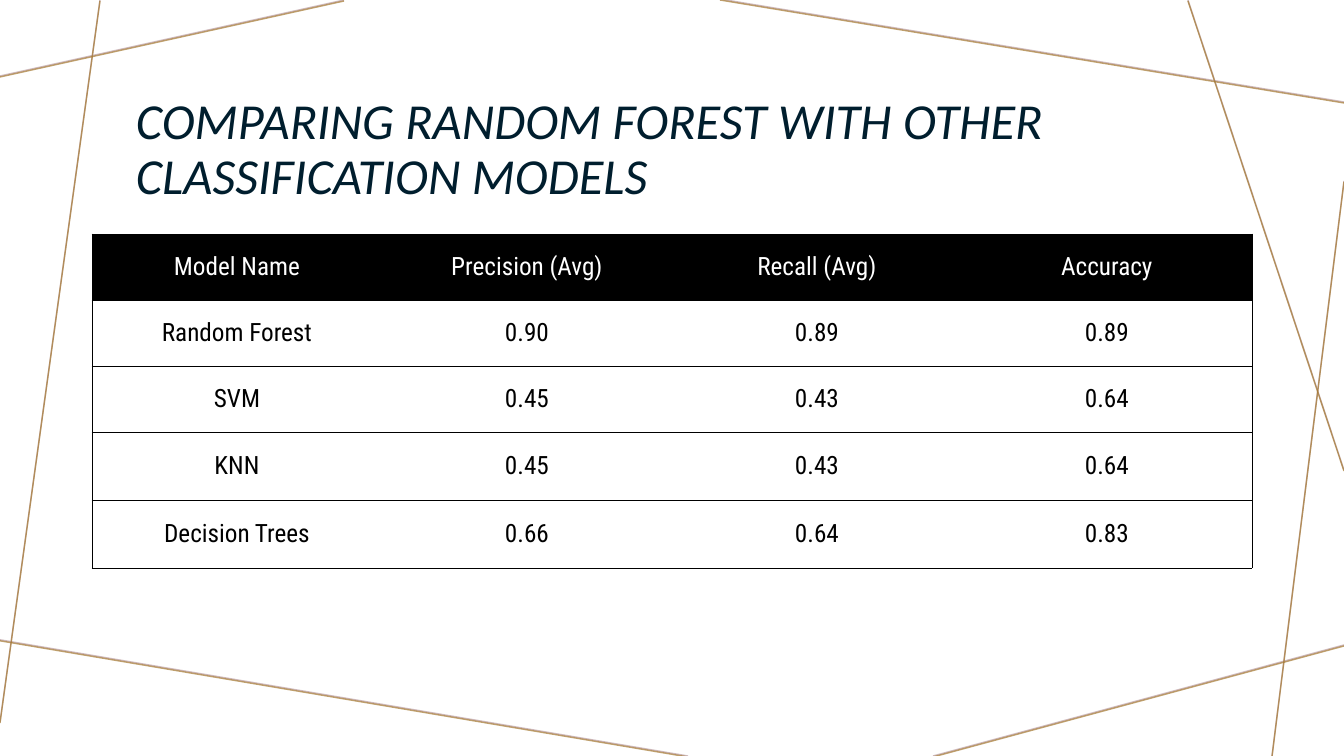
"""Build a slide that compares classification models in a table."""
from lxml.etree import SubElement
from pptx import Presentation
from pptx.dml.color import RGBColor
from pptx.enum.shapes import MSO_CONNECTOR
from pptx.enum.text import MSO_ANCHOR, PP_ALIGN
from pptx.oxml.ns import qn
from pptx.util import Emu, Pt

TITLE = "COMPARING RANDOM FOREST WITH OTHER CLASSIFICATION MODELS"
MODEL_ROWS = [
    ("Model Name", "Precision (Avg)", "Recall (Avg)", "Accuracy"),
    ("Random Forest", "0.90", "0.89", "0.89"),
    ("SVM", "0.45", "0.43", "0.64"),
    ("KNN", "0.45", "0.43", "0.64"),
    ("Decision Trees", "0.66", "0.64", "0.83"),
]

SLIDE_SIZE = (1344, 756)
TITLE_BOX = (126, 58, 1092, 152)
TABLE_LEFT, TABLE_TOP = 92, 234
COLUMN_WIDTH = 290
ROW_HEIGHTS = (66, 66, 66, 68, 68)
FRAME_LINES = [
    (344, 0, 0, 76),
    (100, 0, 0, 722),
    (688, 756, -5, 639),
    (1344, 645, 933, 756),
    (1344, 181, 1272, 756),
    (1344, 470, 1188, 0),
    (1344, 102, 720, -1),
]

MAUVE = RGBColor(0xBA, 0x9C, 0xA0)
GOLD = RGBColor(0xA5, 0x79, 0x31)
NAVY = RGBColor(0x00, 0x1E, 0x2E)
BLACK = RGBColor(0x00, 0x00, 0x00)
WHITE = RGBColor(0xFF, 0xFF, 0xFF)
LINE_LAYERS = [(MAUVE, 0), (GOLD, 1)]
LINE_OPACITY = "70000"


def px(length):
    """Convert pixels to EMU."""
    return Emu(round(length * 914400 / 100.8))


def add_frame_line(slide, ends, color, drop):
    """Draw one translucent line, moved down by drop."""
    x1, y1, x2, y2 = ends
    connector = slide.shapes.add_connector(
        MSO_CONNECTOR.STRAIGHT, px(x1), px(y1 + drop), px(x2), px(y2 + drop))
    connector.line.width = Pt(1)
    connector.line.color.rgb = color
    properties = connector._element.spPr
    color_element = properties.find(".//" + qn("a:srgbClr"))
    SubElement(color_element, qn("a:alpha"), val=LINE_OPACITY)
    SubElement(properties, qn("a:effectLst"))


def add_title(slide):
    """Add the title box."""
    frame = slide.shapes.add_textbox(*map(px, TITLE_BOX)).text_frame
    frame.word_wrap = True
    frame.vertical_anchor = MSO_ANCHOR.BOTTOM
    frame.text = TITLE
    paragraph = frame.paragraphs[0]
    paragraph.line_spacing = 0.9
    font = paragraph.runs[0].font
    font.name, font.size, font.italic = "Calibri", Pt(36), True
    font.color.rgb = NAVY


def set_borders(cell, visible_sides):
    """Draw thin black borders on the visible sides and clear the others."""
    properties = cell._tc.get_or_add_tcPr()
    for side in "LRTB":
        border = SubElement(properties, qn("a:ln" + side), w=str(Pt(0.5)))
        if side in visible_sides:
            fill = SubElement(border, qn("a:solidFill"))
            SubElement(fill, qn("a:srgbClr"), val=str(BLACK))
        else:
            SubElement(border, qn("a:noFill"))


def style_cell(cell, text, is_header, visible_sides):
    """Fill in one table cell."""
    set_borders(cell, visible_sides)
    if is_header:
        cell.fill.solid()
        cell.fill.fore_color.rgb = BLACK
    else:
        cell.fill.background()
    cell.vertical_anchor = MSO_ANCHOR.MIDDLE
    cell.text_frame.text = text
    paragraph = cell.text_frame.paragraphs[0]
    paragraph.alignment = PP_ALIGN.CENTER
    font = paragraph.runs[0].font
    font.name, font.size, font.bold = "Roboto Condensed", Pt(18), False
    font.color.rgb = WHITE if is_header else BLACK


def add_model_table(slide):
    """Add the table of model scores."""
    column_count = len(MODEL_ROWS[0])
    table = slide.shapes.add_table(
        len(MODEL_ROWS), column_count, px(TABLE_LEFT), px(TABLE_TOP),
        px(COLUMN_WIDTH * column_count), px(sum(ROW_HEIGHTS))).table
    table.horz_banding = False
    for column in table.columns:
        column.width = px(COLUMN_WIDTH)
    for row_index, texts in enumerate(MODEL_ROWS):
        table.rows[row_index].height = px(ROW_HEIGHTS[row_index])
        for column_index, text in enumerate(texts):
            sides = "TB"
            if column_index == 0:
                sides += "L"
            if column_index == column_count - 1:
                sides += "R"
            style_cell(table.cell(row_index, column_index), text, row_index == 0, sides)


def main():
    """Build and save the presentation."""
    presentation = Presentation()
    presentation.slide_width, presentation.slide_height = map(px, SLIDE_SIZE)
    slide = presentation.slides.add_slide(presentation.slide_layouts[6])
    for color, drop in LINE_LAYERS:
        for ends in FRAME_LINES:
            add_frame_line(slide, ends, color, drop)
    add_title(slide)
    add_model_table(slide)
    presentation.save("out.pptx")


if __name__ == "__main__":
    main()
